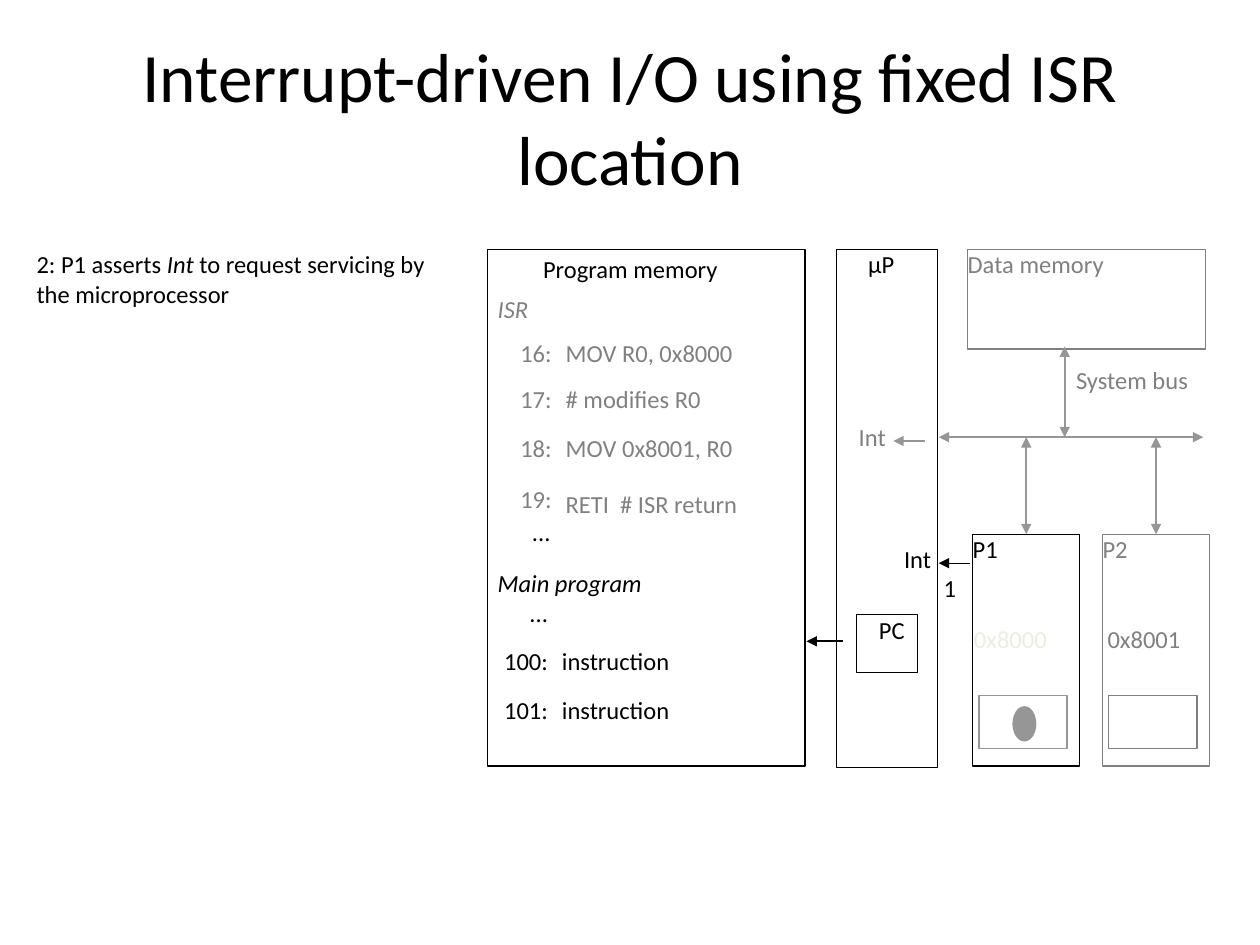
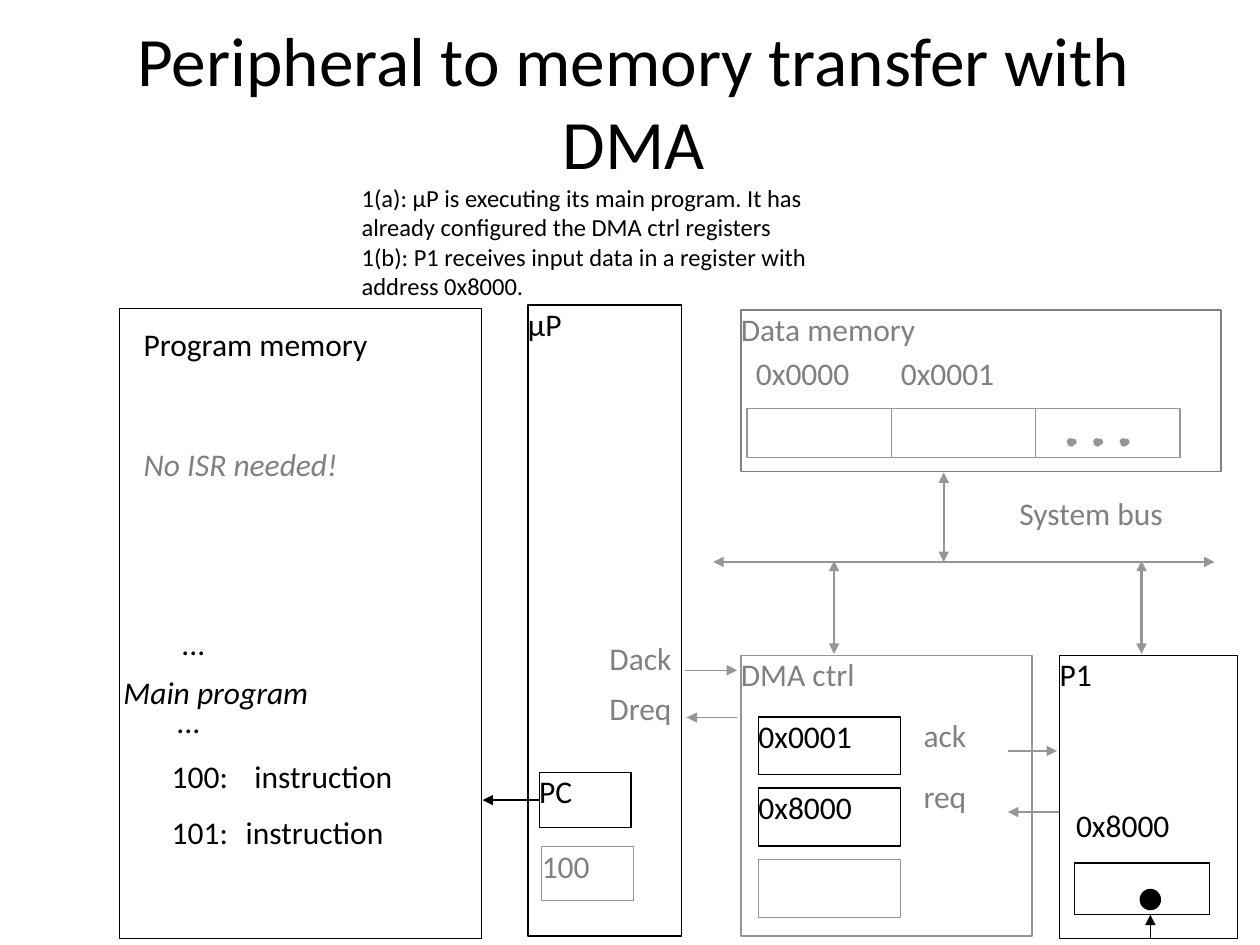
from dataclasses import dataclass

from lxml import etree
from pptx import Presentation
from pptx.dml.color import RGBColor
from pptx.enum.dml import MSO_LINE
from pptx.enum.shapes import MSO_CONNECTOR, MSO_SHAPE
from pptx.enum.text import MSO_ANCHOR, MSO_AUTO_SIZE, PP_ALIGN
from pptx.oxml.ns import qn
from pptx.util import Inches, Pt

LEFT, CENTER, RIGHT = PP_ALIGN.LEFT, PP_ALIGN.CENTER, PP_ALIGN.RIGHT
TOP, MIDDLE = MSO_ANCHOR.TOP, MSO_ANCHOR.MIDDLE
RECTANGLE, OVAL = MSO_SHAPE.RECTANGLE, MSO_SHAPE.OVAL
STRAIGHT = MSO_CONNECTOR.STRAIGHT
DASH = MSO_LINE.DASH
TOP_SIDE, LEFT_SIDE = 0, 1

BLACK, WHITE = "000000", "FFFFFF"
GRAY, WIRE, FAINT = "808080", "969696", "EEECE1"
FONT = "Calibri"
THIN, THICK = 0.75, 1.25

# The slide is a grid of 100 columns by 75 rows
WIDTH, HEIGHT = Inches(10), Inches(7.5)
COLUMN, ROW = WIDTH / 100, HEIGHT / 75


@dataclass
class Box:
    left: float
    top: float
    width: float
    height: float

    def inside(self, x, y, width, height):
        return Box(self.left + x, self.top + y, width, height)

    def point(self, x, y):
        return self.left + x, self.top + y

    def lengths(self):
        return (round(self.left * COLUMN), round(self.top * ROW),
                round(self.width * COLUMN), round(self.height * ROW))


def rgb(color):
    return RGBColor.from_string(color)


def write_text(shape, text, size=14, color=BLACK, align=LEFT, indent=0, anchor=TOP):
    """Fill a shape with text: lines are paragraphs, *stars* mark italics."""
    frame = shape.text_frame
    frame.word_wrap = True
    frame.auto_size = MSO_AUTO_SIZE.NONE
    frame.vertical_anchor = anchor
    frame.margin_left = round(indent * COLUMN)
    frame.margin_right = frame.margin_top = frame.margin_bottom = 0
    for index, line in enumerate(text.split("\n")):
        paragraph = frame.add_paragraph() if index else frame.paragraphs[0]
        paragraph.alignment = align
        for part, words in enumerate(line.split("*")):
            if not words:
                continue
            run = paragraph.add_run()
            run.text = words
            run.font.name, run.font.size = FONT, Pt(size)
            run.font.color.rgb = rgb(color)
            run.font.italic = part % 2 == 1


def add_label(slide, box, text, **text_format):
    write_text(slide.shapes.add_textbox(*box.lengths()), text, **text_format)


def add_block(slide, box, text="", kind=RECTANGLE, fill=WHITE, line=BLACK,
              dash=None, **text_format):
    shape = slide.shapes.add_shape(kind, *box.lengths())
    shape.shadow.inherit = False
    if fill:
        shape.fill.solid()
        shape.fill.fore_color.rgb = rgb(fill)
    else:
        shape.fill.background()
    shape.line.color.rgb = rgb(line)
    shape.line.width = Pt(THIN)
    if dash:
        shape.line.dash_style = dash
    if text:
        write_text(shape, text, **text_format)
    return shape


def add_arrow(slide, start, end, color=WIRE, width=THIN, both=False):
    (x1, y1), (x2, y2) = start, end
    connector = slide.shapes.add_connector(
        STRAIGHT, round(x1 * COLUMN), round(y1 * ROW),
        round(x2 * COLUMN), round(y2 * ROW))
    connector.line.color.rgb = rgb(color)
    connector.line.width = Pt(width)
    properties = connector.element.spPr
    outline = properties.find(qn("a:ln"))
    for tag in ("a:headEnd", "a:tailEnd") if both else ("a:tailEnd",):
        etree.SubElement(outline, qn(tag)).set("type", "triangle")
    etree.SubElement(properties, qn("a:effectLst"))
    return connector


def add_titled_slide(presentation, title, box):
    slide = presentation.slides.add_slide(presentation.slide_layouts[5])
    shape = slide.shapes.title
    shape.left, shape.top, shape.width, shape.height = box.lengths()
    write_text(shape, title, size=39.6, align=CENTER, anchor=MIDDLE)
    return slide


def draw_program_memory(slide, box, size, labels, listing):
    """labels: x, y, text, colour; listing: y, number, right, code, left, colour."""
    add_block(slide, box)
    for x, y, text, color in labels:
        add_label(slide, box.inside(x, y, box.width - x, 4), text,
                  size=size, color=color)
    for y, number, right, code, left, color in listing:
        add_label(slide, box.inside(right - 6, y, 6, 4), number,
                  size=size, color=color, align=RIGHT)
        if code:
            drop = 0.4 if code.startswith("RETI") else 0
            add_label(slide, box.inside(left, y + drop, 19, 4), code,
                      size=size, color=color)


def draw_bus(slide, box, size, memory_x, memory_rise, label_at):
    """The bus line, its link up to data memory and its name."""
    add_arrow(slide, box.point(0, 0), box.point(box.width, 0), width=THICK, both=True)
    add_arrow(slide, box.point(memory_x, -memory_rise), box.point(memory_x, 0),
              width=THICK, both=True)
    add_label(slide, box.inside(*label_at, 17, 6), "System bus", size=size, color=GRAY)


def draw_bus_link(slide, x, top, bottom, target=None):
    link = add_arrow(slide, (x, top), (x, bottom), width=THICK, both=True)
    if target:
        link.end_connect(target, TOP_SIDE)


def draw_peripheral(slide, box, size, name, address, register,
                    color=BLACK, address_color=BLACK, register_line=BLACK):
    """address is an offset and text, register a box offset and size."""
    shape = add_block(slide, box, name, line=color, size=size, color=color)
    x, y, text = address
    add_label(slide, box.inside(x, y, 10.8, 4.3), text, size=size, color=address_color)
    add_block(slide, box.inside(*register), line=register_line)
    return shape


# Interrupt slide

def draw_interrupt_processor(slide, box):
    add_block(slide, box, "μP", indent=2.5)
    add_block(slide, box.inside(1.6, 29, 4.8, 4.6), "PC", indent=1.75)
    add_arrow(slide, box.point(0.5, 31.1), box.point(-2.4, 31.1), BLACK, THICK)
    # Interrupt input and interrupt request
    for x, y, color, wire in ((0.7, 13.7, GRAY, WIRE), (4.3, 23.4, BLACK, BLACK)):
        add_label(slide, box.inside(x, y, 3.2, 3.2), "Int", color=color, align=RIGHT)
        add_arrow(slide, box.point(x + 6.3, y + 1.5),
                  box.point(x + 3.8, y + 1.5), wire)


def build_interrupt_slide(presentation):
    slide = add_titled_slide(
        presentation, "Interrupt-driven I/O using fixed ISR location",
        Box(5, 3, 90, 12.5))
    add_label(slide, Box(2.9, 19.8, 31.4, 11.5),
              "2: P1 asserts *Int* to request servicing by the microprocessor")
    draw_program_memory(
        slide, Box(38.7, 19.8, 25.2, 41), 14,
        labels=[(4.4, 0.4, "Program memory", BLACK),
                (0.8, 3.5, "*ISR*", GRAY),
                (0.8, 25.3, "*Main program*", BLACK)],
        listing=[(7, "16:", 5.1, "MOV R0, 0x8000", 6.2, GRAY),
                 (10.7, "17:", 5.1, "# modifies R0", 6.2, GRAY),
                 (14.6, "18:", 5.1, "MOV 0x8001, R0", 6.2, GRAY),
                 (18.6, "19:", 5.1, "RETI  # ISR return", 6.2, GRAY),
                 (21.2, "...", 5, "", 0, BLACK),
                 (27.7, "...", 4.8, "", 0, BLACK),
                 (31.5, "100:", 4.8, "instruction", 5.9, BLACK),
                 (35.4, "101:", 4.8, "instruction", 5.9, BLACK)])
    draw_interrupt_processor(slide, Box(66.4, 19.8, 8, 41.1))
    add_block(slide, Box(76.8, 19.8, 18.9, 7.9), "Data memory", fill=None,
              line=GRAY, color=GRAY)
    draw_bus(slide, Box(74.5, 34.7, 21, 0), 14, 10, 7.2, (10.9, -5.7))

    # Peripherals
    first = Box(77.2, 42.4, 8.5, 18.4)
    second = first.inside(10.3, 0, first.width, first.height)
    register = (0.5, 12.8, 7, 4.2)
    p1 = draw_peripheral(slide, first, 14, "P1", (0.1, 7.1, "0x8000"), register,
                         address_color=FAINT, register_line=WIRE)
    p2 = draw_peripheral(slide, second, 14, "P2", (0.4, 7.1, "0x8001"), register,
                         color=GRAY, address_color=GRAY, register_line=GRAY)
    for box, peripheral in ((first, p1), (second, p2)):
        draw_bus_link(slide, box.left + box.width / 2, 34.7, box.top, peripheral)
    add_block(slide, first.inside(3.2, 13.7, 1.8, 2.7), kind=OVAL, fill=WIRE, line=WIRE)
    add_label(slide, Box(74.9, 45.5, 3.7, 2.3), "1")


# Direct memory access slide

def draw_data_memory(slide, box):
    add_block(slide, box, "Data memory", fill=None, line=GRAY, size=18, color=GRAY)
    cell = 11.45
    for index in range(3):
        add_block(slide, box.inside(0.5 + index * cell, 7.8, cell, 3.9),
                  fill=None, line=WIRE)
        add_block(slide, box.inside(25.9 + index * 2.1, 10.2, 0.7, 0.6), kind=OVAL,
                  fill=WIRE, line=WIRE, dash=DASH)
    for index, address in enumerate(("0x0000", "0x0001")):
        add_label(slide, box.inside(1.2 + index * 11.5, 3.5, 11, 3.9), address,
                  size=18, color=GRAY)


def draw_dma_processor(slide, box):
    add_block(slide, box, "μP", size=18)
    counter = add_block(slide, box.inside(0.9, 37.1, 7.3, 4.4), "PC", size=18)
    add_block(slide, box.inside(1.1, 43, 7.3, 4.3), "100", line=WIRE,
              size=18, color=GRAY)
    fetch = add_arrow(slide, box.point(0.9, 39.3), box.point(-3.6, 39.3), BLACK, THICK)
    fetch.begin_connect(counter, LEFT_SIDE)
    for y, name in ((26.5, "Dack"), (30.5, "Dreq")):
        add_label(slide, box.inside(3.3, y, 8.1, 5), name, size=18,
                  color=GRAY, align=RIGHT)


def draw_dma_controller(slide, box):
    add_block(slide, box, "DMA ctrl", line=WIRE, size=18, color=GRAY)
    registers = (("0x0001", BLACK), ("0x8000", BLACK), ("", WIRE))
    for index, (value, line) in enumerate(registers):
        add_block(slide, box.inside(1.4, 4.9 + index * 5.65, 11.3, 4.6), value,
                  fill=None, line=line, size=18)
    for y, name in ((4.8, "ack"), (9.7, "req")):
        add_label(slide, box.inside(14.5, y, 5.9, 5), name, size=18, color=GRAY)
    # Handshakes with the processor and the peripheral
    for start, end, y in ((-4.4, -0.3, 1.2), (-0.3, -4.3, 4.95),
                          (21.2, 25.1, 7.6), (25.3, 21.2, 12.45)):
        add_arrow(slide, box.point(start, y), box.point(end, y))


def build_dma_slide(presentation):
    slide = add_titled_slide(presentation, "Peripheral to memory transfer with DMA",
                             Box(5.3, 1.7, 90, 12.5))
    add_label(slide, Box(28.7, 14.5, 36.4, 9.2),
              "1(a): μP is executing its main program. It has already configured "
              "the DMA ctrl registers\n"
              "1(b): P1 receives input data in a register with address 0x8000.")
    draw_program_memory(
        slide, Box(9.5, 24.5, 28.7, 50), 18,
        labels=[(1.9, 1.3, "Program memory", BLACK),
                (1.9, 10.8, "*No ISR needed!*", GRAY),
                (0.3, 28.9, "*Main program*", BLACK)],
        listing=[(25, "...", 6.8, "", 0, BLACK),
                 (31.2, "...", 6.4, "", 0, BLACK),
                 (35.6, "100:", 8.6, "instruction", 10.7, BLACK),
                 (40, "101:", 8.6, "instruction", 10, BLACK)])
    draw_dma_processor(slide, Box(41.9, 24.2, 12.2, 50.1))
    draw_data_memory(slide, Box(58.8, 24.6, 38.1, 12.8))
    draw_bus(slide, Box(56.6, 44.6, 39.8, 0), 18, 18.3, 7.1, (24.3, -5.4))
    draw_dma_controller(slide, Box(58.8, 52, 23.1, 22.3))

    # Peripheral with the incoming data
    box = Box(84.1, 52, 14.1, 22.5)
    draw_peripheral(slide, box, 18, "P1", (1.3, 12, "0x8000"), (1.2, 16.5, 10.7, 4.1))
    add_block(slide, box.inside(6.4, 18.6, 1.6, 1.6), kind=OVAL, fill=BLACK)
    add_arrow(slide, box.point(7.2, 22.5), box.point(7.2, 20.6), BLACK)
    for x in (66.2, 90.6):
        draw_bus_link(slide, x, 44.5, 51.9)


def main():
    presentation = Presentation()
    presentation.slide_width, presentation.slide_height = WIDTH, HEIGHT
    build_interrupt_slide(presentation)
    build_dma_slide(presentation)
    presentation.save("out.pptx")


if __name__ == "__main__":
    main()
